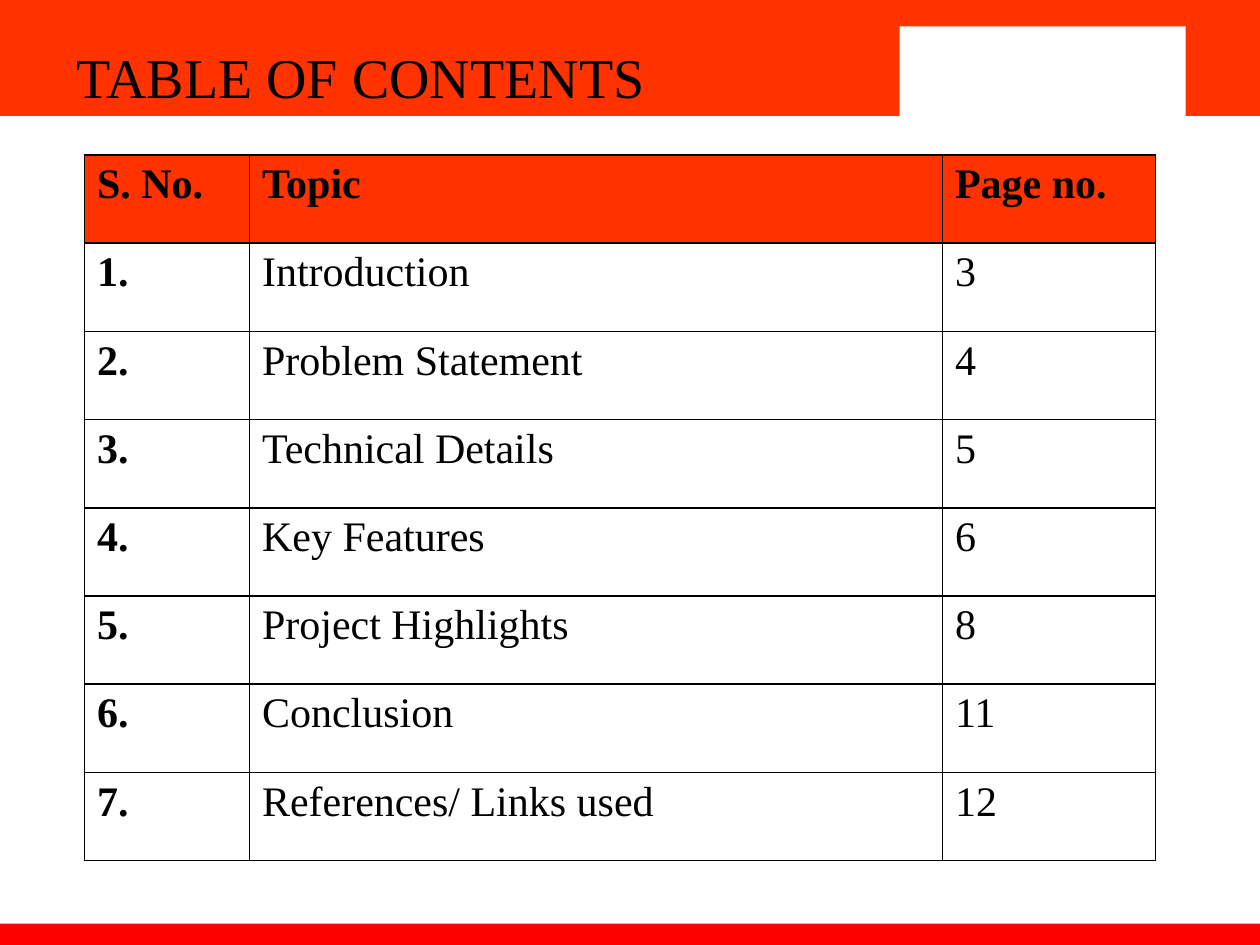
from lxml import etree
from pptx import Presentation
from pptx.dml.color import RGBColor
from pptx.enum.shapes import MSO_SHAPE
from pptx.oxml.ns import qn
from pptx.util import Inches, Pt

RECTANGLE = MSO_SHAPE.RECTANGLE
ORANGE = RGBColor(0xFF, 0x33, 0x00)
RED = RGBColor(0xFF, 0x00, 0x00)
WHITE = RGBColor(0xFF, 0xFF, 0xFF)
BLACK = RGBColor(0x00, 0x00, 0x00)
FONT = "Times New Roman"
BLANK_LAYOUT = 6

HEADERS = ("S. No.", "Topic", "Page no.")
TOPICS = (
    ("Introduction", 3),
    ("Problem Statement", 4),
    ("Technical Details", 5),
    ("Key Features", 6),
    ("Project Highlights", 8),
    ("Conclusion", 11),
    ("References/ Links used", 12),
)
COLUMN_WIDTHS = (1.31, 5.5, 1.69)
ROW_HEIGHT = 0.7


def add_bar(slide, left, top, width, height, color):
    bar = slide.shapes.add_shape(
        RECTANGLE, Inches(left), Inches(top), Inches(width), Inches(height))
    bar.shadow.inherit = False
    bar.fill.solid()
    bar.fill.fore_color.rgb = color
    bar.line.fill.background()


def add_run(paragraph, text, size, bold=False):
    run = paragraph.add_run()
    run.text = text
    run.font.name = FONT
    run.font.size = Pt(size)
    run.font.bold = bold
    run.font.color.rgb = BLACK


def add_title(slide, text):
    box = slide.shapes.add_textbox(
        Inches(0.51), Inches(0.29), Inches(5.91), Inches(0.64))
    box.text_frame.word_wrap = True
    add_run(box.text_frame.paragraphs[0], text, 32)


def add_borders(cell):
    """Draw a thin black line on all four sides; call before setting the fill."""
    properties = cell._tc.get_or_add_tcPr()
    for side in ("a:lnL", "a:lnR", "a:lnT", "a:lnB"):
        line = etree.SubElement(properties, qn(side), w=str(Pt(1)))
        fill = etree.SubElement(line, qn("a:solidFill"))
        etree.SubElement(fill, qn("a:srgbClr"), val=str(BLACK))


def add_contents_table(slide):
    rows = [HEADERS]
    for number, (topic, page) in enumerate(TOPICS, start=1):
        rows.append((f"{number}.", topic, str(page)))

    table = slide.shapes.add_table(
        len(rows), len(HEADERS), Inches(0.67), Inches(1.23),
        Inches(sum(COLUMN_WIDTHS)), Inches(ROW_HEIGHT * len(rows))).table
    for column, width in zip(table.columns, COLUMN_WIDTHS):
        column.width = Inches(width)

    for row_index, texts in enumerate(rows):
        table.rows[row_index].height = Inches(ROW_HEIGHT)
        is_header = row_index == 0
        for column_index, text in enumerate(texts):
            cell = table.cell(row_index, column_index)
            add_borders(cell)
            if is_header:
                cell.fill.solid()
                cell.fill.fore_color.rgb = ORANGE
            else:
                cell.fill.background()
            add_run(cell.text_frame.paragraphs[0], text, 24,
                    bold=is_header or column_index == 0)


def main():
    presentation = Presentation()
    presentation.slide_width = Inches(10)
    presentation.slide_height = Inches(7.5)
    slide = presentation.slides.add_slide(presentation.slide_layouts[BLANK_LAYOUT])

    add_bar(slide, 0, 0, 10, 0.92, ORANGE)
    add_bar(slide, 0, 7.33, 10, 0.17, RED)
    add_bar(slide, 6.72, 0, 3.28, 0.92, ORANGE)
    add_bar(slide, 7.14, 0.21, 2.27, 0.75, WHITE)
    add_title(slide, "TABLE OF CONTENTS")
    add_contents_table(slide)

    presentation.save("out.pptx")


if __name__ == "__main__":
    main()
